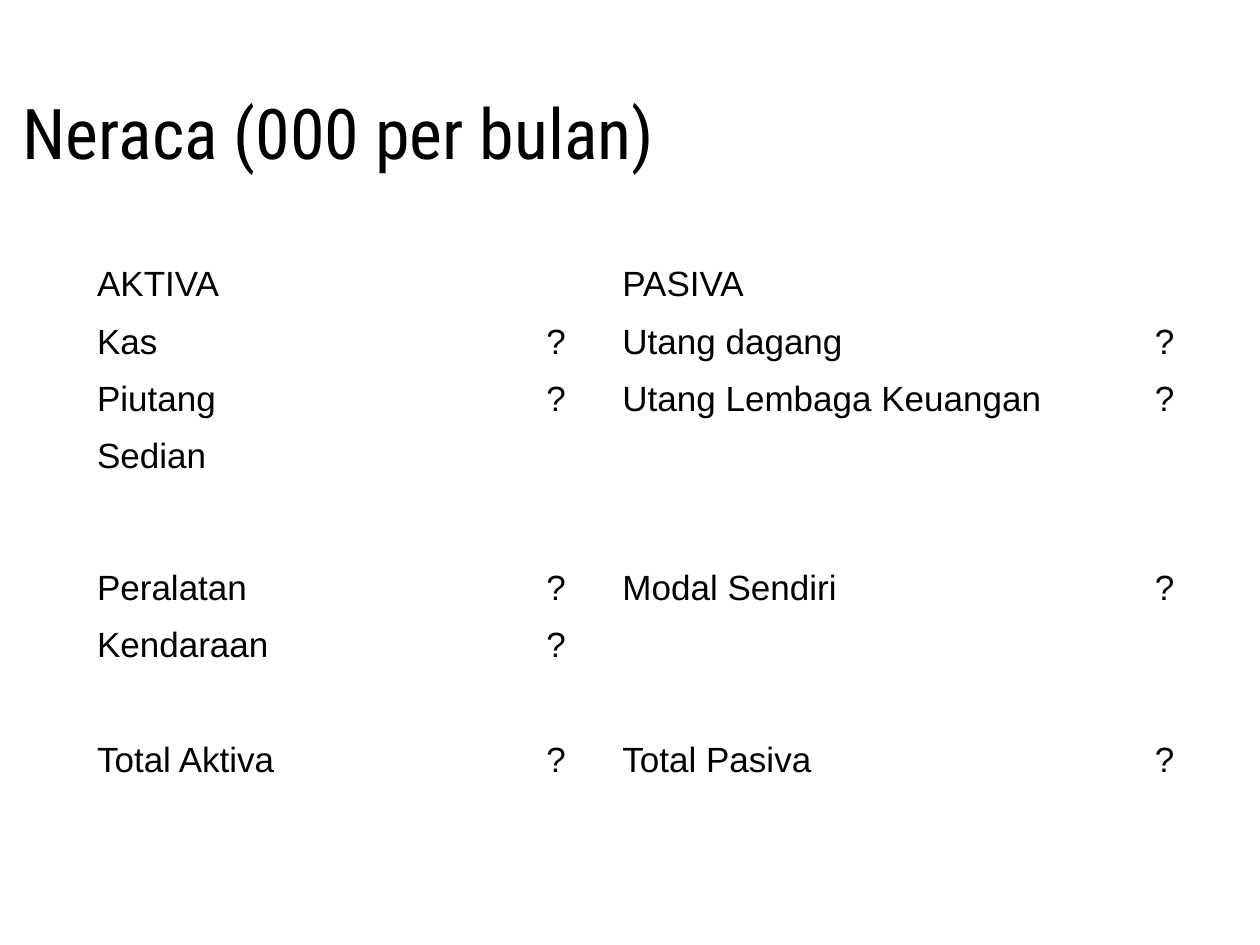
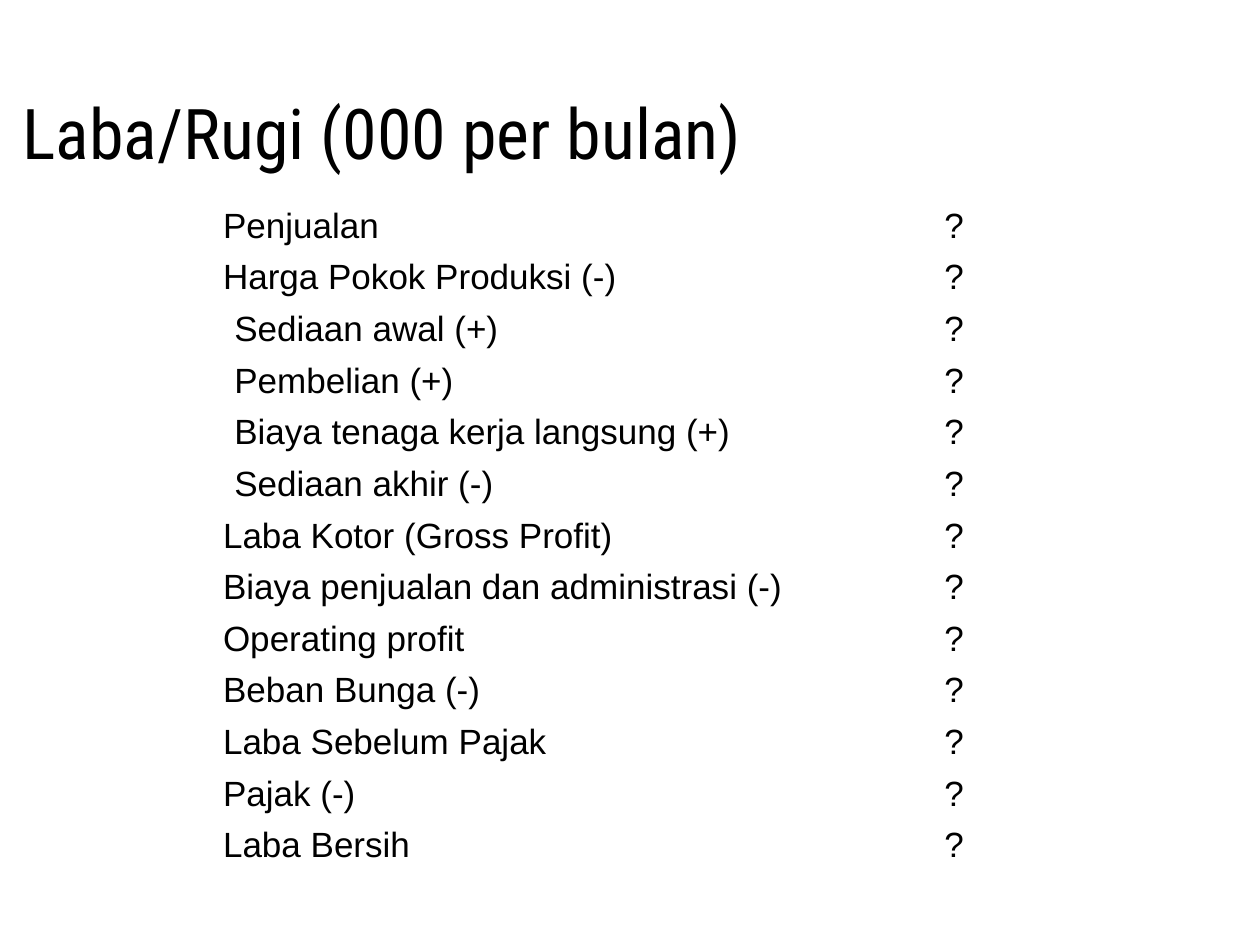
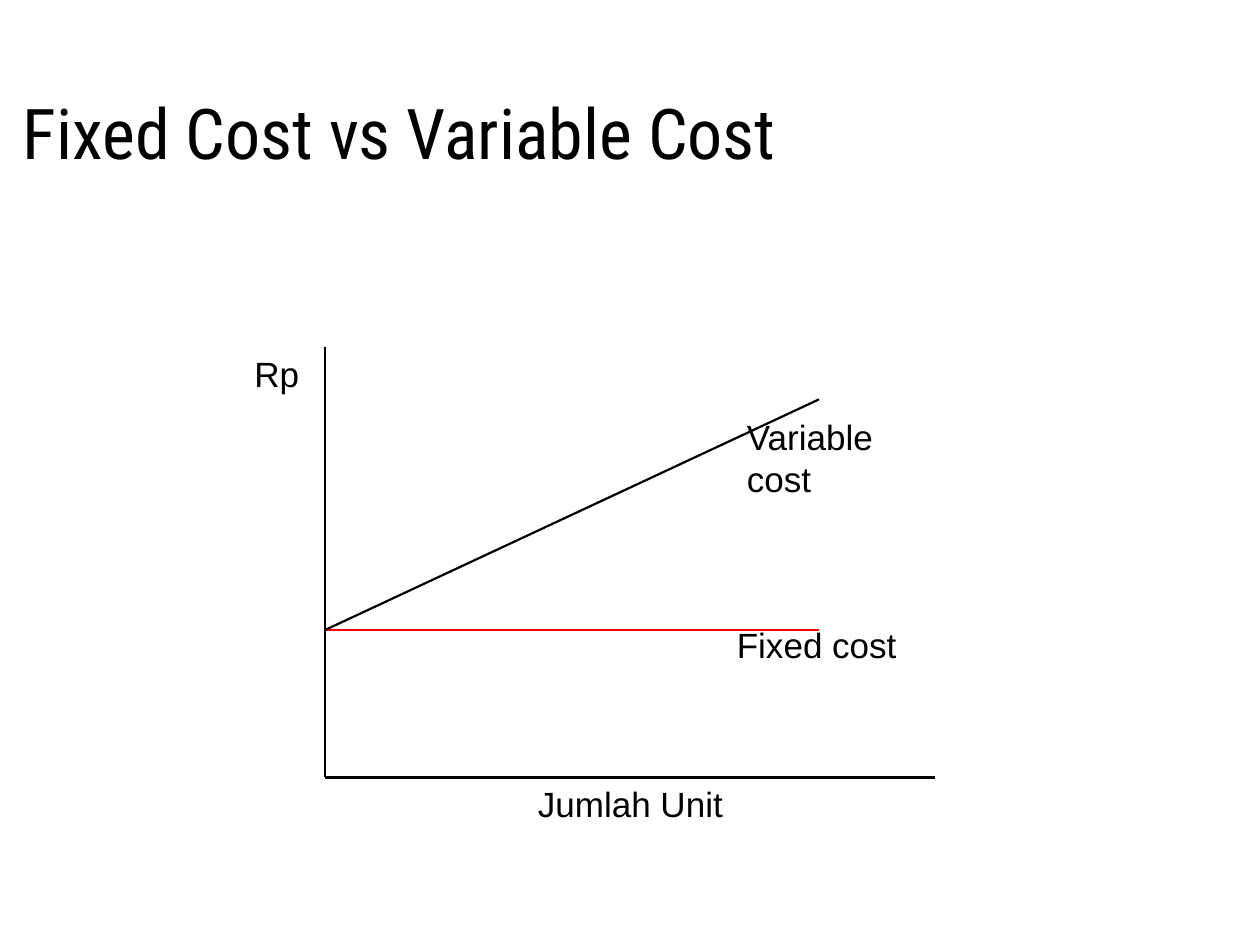
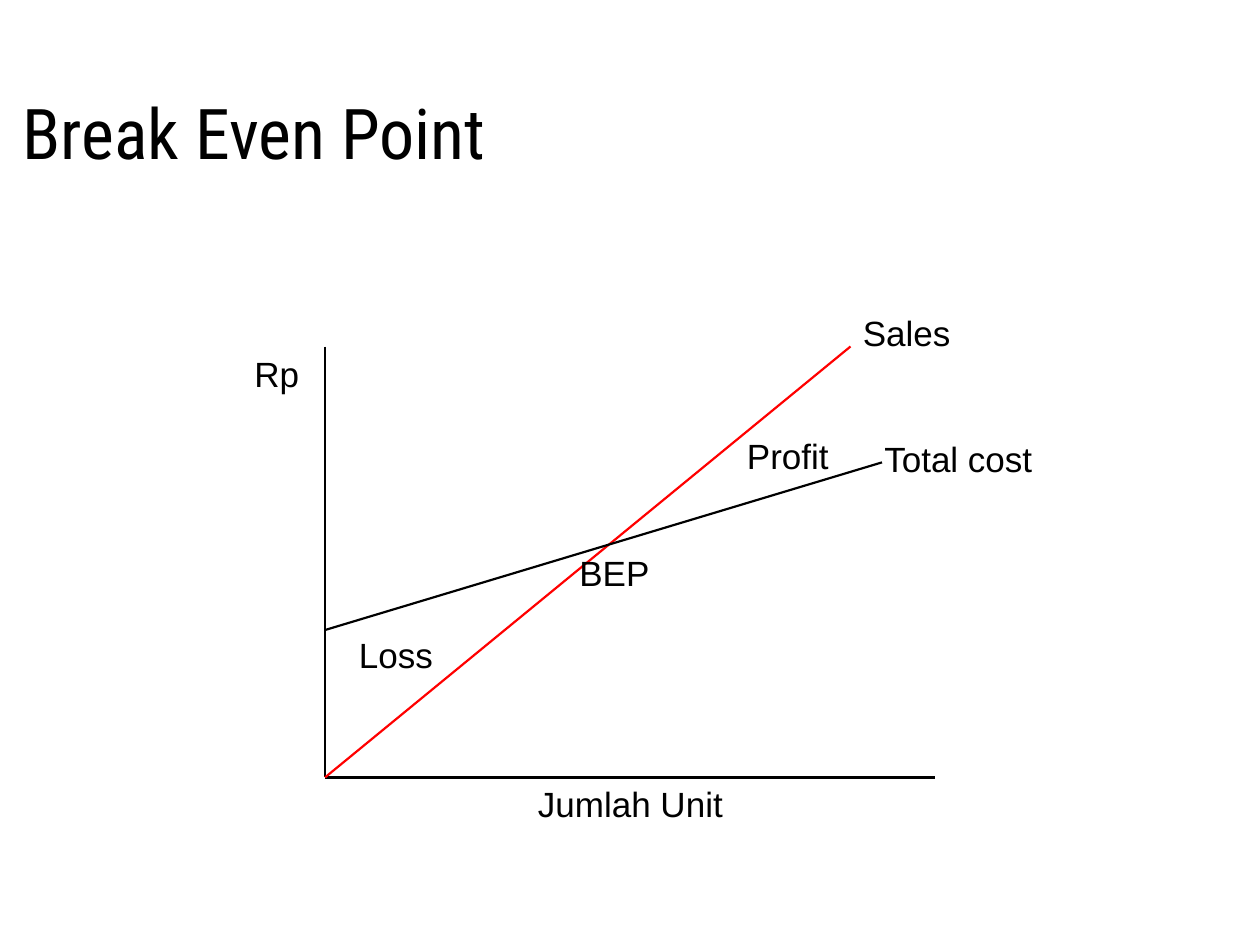
import lxml.etree
import pptx
import pptx.dml.color
import pptx.enum.shapes
import pptx.enum.text
import pptx.oxml.ns
import pptx.util

Inches = pptx.util.Inches
Pt = pptx.util.Pt
qn = pptx.oxml.ns.qn
Align = pptx.enum.text.PP_ALIGN
Anchor = pptx.enum.text.MSO_ANCHOR

COLORS = {"ink": "000000", "red": "FF0000"}
FONTS = {"title": "Roboto Condensed", "body": "Arial"}

TITLES = [
    "Neraca (000 per bulan)",
    "Laba/Rugi (000 per bulan)",
    "Fixed Cost vs Variable Cost",
    "Break Even Point",
]

BALANCE = [
    ("AKTIVA", "", "", "PASIVA", ""),
    ("Kas", "?", "", "Utang dagang", "?"),
    ("Piutang", "?", "", "Utang Lembaga Keuangan", "?"),
    ("Sedian", "", "", "", ""),
    ("", "", "", "", ""),
    ("Peralatan", "?", "", "Modal Sendiri", "?"),
    ("Kendaraan", "?", "", "", ""),
    ("", "", "", "", ""),
    ("Total Aktiva", "?", "", "Total Pasiva", "?"),
]

PARTS = [
    "Sediaan awal (+)",
    "Pembelian (+)",
    "Biaya tenaga kerja langsung (+)",
    "Sediaan akhir (-)",
]
ITEMS = [
    "Penjualan",
    "Harga Pokok Produksi (-)",
    *PARTS,
    "Laba Kotor (Gross Profit)",
    "Biaya penjualan dan administrasi (-)",
    "Operating profit",
    "Beban Bunga (-)",
    "Laba Sebelum Pajak",
    "Pajak (-)",
    "Laba Bersih",
]
INCOME = [(item, "?") for item in ITEMS]

TABLES = [
    (0, 0.67, 2, [2, 1.92, 0.25, 3.54, 1.04],
     [0.33] * 5 + [0.59, 0.33, 0.33, 0.41], BALANCE),
    (1, 1.67, 1.58, [4.8, 1.28], [0.41] * len(INCOME), INCOME),
]

AXES = [
    (2.58, 2.75, 2.58, 6.17, "ink", 1.5),
    (2.58, 6.17, 7.42, 6.17, "ink", 1.5),
]
LABELS = [
    ("Rp", 1.92, 2.75, 1.25, 0.44),
    ("Jumlah Unit", 4.17, 6.16, 2.08, 0.44),
]
GRAPHS = [
    (2,
     [(2.58, 5, 6.5, 5, "red", 1.25),
      (2.58, 5, 6.5, 3.17, "ink", 1.25)],
     [("Fixed cost", 5.75, 4.9, 1.67, 0.44),
      ("Variable cost", 5.83, 3.25, 1.67, 0.77)]),
    (3,
     [(2.58, 6.17, 6.75, 2.75, "red", 1.25),
      (2.58, 5, 7, 3.67, "ink", 1.25)],
     [("Total cost", 6.92, 3.42, 1.67, 0.44),
      ("Sales", 6.75, 2.42, 1.67, 0.44),
      ("Profit", 5.83, 3.4, 1.67, 0.44),
      ("BEP", 4.5, 4.33, 1.67, 0.44),
      ("Loss", 2.75, 4.98, 1.67, 0.44)]),
]


def write(frame, text, font="body", size=20, align=Align.LEFT):
    frame.text = text
    par = frame.paragraphs[0]
    par.alignment = align
    for run in par.runs:
        run.font.name = FONTS[font]
        run.font.size = Pt(size)
        run.font.color.rgb = pptx.dml.color.RGBColor.from_string(COLORS["ink"])


deck = pptx.Presentation()
deck.slide_width = Inches(10)
deck.slide_height = Inches(7.5)

slides = []
for text in TITLES:
    slide = deck.slides.add_slide(deck.slide_layouts[5])
    title = slide.shapes.title
    title.left, title.top = Inches(0.08), Inches(0.5)
    title.width, title.height = Inches(6.92), Inches(1.08)
    write(title.text_frame, text, "title", 40)
    title.text_frame.vertical_anchor = Anchor.MIDDLE
    slides.append(slide)

for index, left, top, widths, heights, data in TABLES:
    frame = slides[index].shapes.add_table(
        len(heights), len(widths), Inches(left), Inches(top),
        Inches(sum(widths)), Inches(sum(heights)))
    table = frame.table
    table.first_row = False
    table.horz_banding = False
    for col, width in zip(table.columns, widths):
        col.width = Inches(width)
    for row, height, texts in zip(table.rows, heights, data):
        row.height = Inches(height)
        for cell, text in zip(row.cells, texts):
            cell.fill.background()
            cell.vertical_anchor = Anchor.BOTTOM
            cell.margin_left = Inches(0.19 if text in PARTS else 0.1)
            cell.margin_top = cell.margin_bottom = Pt(3)
            write(cell.text_frame, text,
                  align=Align.RIGHT if text == "?" else Align.LEFT)
            if not text:
                par = cell.text_frame.paragraphs[0]
                end = lxml.etree.SubElement(par._p, qn("a:endParaRPr"), sz="2400")
                lxml.etree.SubElement(end, qn("a:latin"), typeface=FONTS["body"])

for index, lines, labels in GRAPHS:
    shapes = slides[index].shapes
    for x1, y1, x2, y2, color, width in AXES + lines:
        line = shapes.add_connector(
            pptx.enum.shapes.MSO_CONNECTOR.STRAIGHT,
            Inches(x1), Inches(y1), Inches(x2), Inches(y2))
        line.line.color.rgb = pptx.dml.color.RGBColor.from_string(COLORS[color])
        line.line.width = Pt(width)
        lxml.etree.SubElement(line._element.spPr, qn("a:effectLst"))
    for text, left, top, width, height in LABELS + labels:
        box = shapes.add_textbox(
            Inches(left), Inches(top), Inches(width), Inches(height))
        write(box.text_frame, text)
        box.text_frame.word_wrap = True
        box.text_frame.auto_size = pptx.enum.text.MSO_AUTO_SIZE.SHAPE_TO_FIT_TEXT

deck.save("out.pptx")
